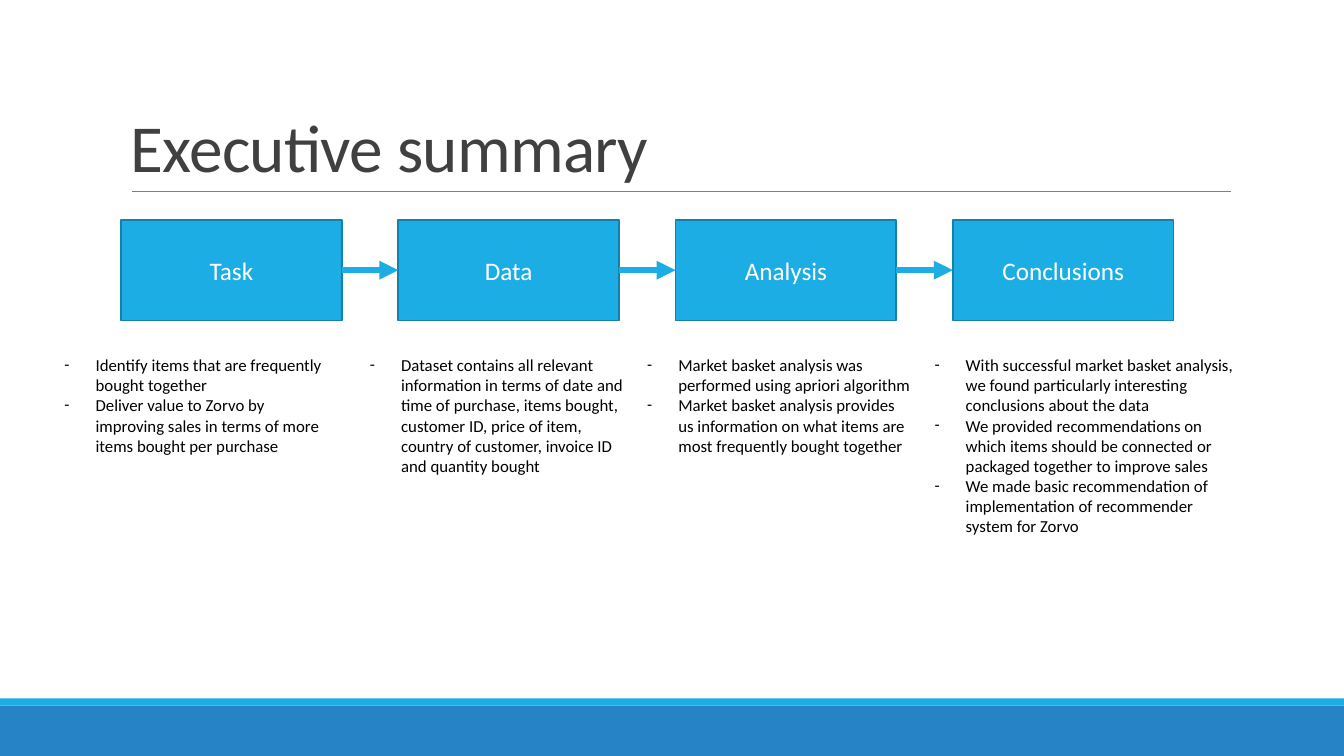
from pptx import Presentation
from pptx.dml.color import RGBColor
from pptx.enum.shapes import MSO_CONNECTOR, MSO_SHAPE
from pptx.enum.text import MSO_ANCHOR, PP_ALIGN
from pptx.oxml.ns import qn
from pptx.util import Inches, Pt
from lxml.etree import SubElement

TITLE = "Executive summary"
STAGES = [
    {"name": "Task", "notes_left": 0.54, "notes_width": 2.85, "notes_height": 1.31, "notes": [
        "Identify items that are frequently bought together",
        "Deliver value to Zorvo by improving sales in terms of more items bought per purchase",
    ]},
    {"name": "Data", "notes_left": 3.57, "notes_width": 2.85, "notes_height": 1.51, "notes": [
        "Dataset contains all relevant information in terms of date and time of purchase, "
        "items bought, customer ID, price of item, country of customer, invoice ID and quantity bought",
    ]},
    {"name": "Analysis", "notes_left": 6.32, "notes_width": 2.83, "notes_height": 1.31, "notes": [
        "Market basket analysis was performed using apriori algorithm",
        "Market basket analysis provides us information on what items are most frequently bought together",
    ]},
    {"name": "Conclusions", "notes_left": 9.17, "notes_width": 3.22, "notes_height": 2.12, "notes": [
        "With successful market basket analysis, we found particularly interesting conclusions about the data",
        "We provided recommendations on which items should be connected or packaged together to improve sales",
        "We made basic recommendation of implementation of recommender system for Zorvo",
    ]},
]
COLORS = {"band": "2683C6", "accent": "1CADE4", "edge": "1580A9", "rule": "808080",
          "title": "404040", "white": "FFFFFF", "black": "000000"}
FONT = "Calibri"
SLIDE_WIDTH, SLIDE_HEIGHT = 13.33, 7.5
STAGE_LEFT, STAGE_TOP, STAGE_WIDTH, STAGE_HEIGHT, STAGE_STEP = 1.2, 2.18, 2.19, 1, 2.75
NOTES_TOP, NOTES_INDENT = 3.47, 0.31


def color(name):
    """Return the named palette colour."""
    return RGBColor.from_string(COLORS[name])


def write(shape, lines, size, ink, align=PP_ALIGN.LEFT, anchor=MSO_ANCHOR.TOP,
          line_spacing=None, tracking=None, bullet=None):
    """Fill a shape with one formatted paragraph per line."""
    frame = shape.text_frame
    frame.word_wrap = True
    frame.vertical_anchor = anchor
    for index, line in enumerate(lines):
        para = frame.add_paragraph() if index else frame.paragraphs[0]
        para.alignment = align
        if line_spacing:
            para.line_spacing = line_spacing
        span = para.add_run()
        span.text = line
        span.font.name = FONT
        span.font.size = Pt(size)
        span.font.color.rgb = color(ink)
        if tracking:
            span.font._element.set("spc", str(int(tracking * 100)))
        if bullet:
            properties = para._p.get_or_add_pPr()
            properties.set("marL", str(Inches(NOTES_INDENT)))
            properties.set("indent", str(-Inches(NOTES_INDENT)))
            SubElement(properties, qn("a:buFont")).set("typeface", FONT)
            SubElement(properties, qn("a:buChar")).set("char", bullet)


def add_box(page, left, top, width, height, fill, edge=None):
    """Add a flat rectangle with an optional outline."""
    box = page.shapes.add_shape(MSO_SHAPE.RECTANGLE, Inches(left), Inches(top),
                                Inches(width), Inches(height))
    box.shadow.inherit = False
    box.fill.solid()
    box.fill.fore_color.rgb = color(fill)
    if edge:
        box.line.color.rgb = color(edge)
        box.line.width = Pt(1.25)
    else:
        box.line.fill.background()
    return box


def add_text(page, left, top, width, height, lines, **style):
    """Add a text box holding the given lines."""
    box = page.shapes.add_textbox(Inches(left), Inches(top), Inches(width), Inches(height))
    write(box, lines, **style)


def add_line(page, start, end, y, ink, width, arrow=False):
    """Add a horizontal line, with an arrowhead at its end if wanted."""
    line = page.shapes.add_connector(MSO_CONNECTOR.STRAIGHT, Inches(start), Inches(y),
                                     Inches(end), Inches(y))
    line.line.color.rgb = color(ink)
    line.line.width = Pt(width)
    if arrow:
        SubElement(line.line._get_or_add_ln(), qn("a:tailEnd")).set("type", "triangle")
    SubElement(line._element.spPr, qn("a:effectLst"))


def main():
    """Build and save the executive summary slide."""
    deck = Presentation()
    deck.slide_width, deck.slide_height = Inches(SLIDE_WIDTH), Inches(SLIDE_HEIGHT)
    page = deck.slides.add_slide(deck.slide_layouts[6])

    add_box(page, 0, 7, SLIDE_WIDTH, 0.5, "band")
    add_box(page, 0, 6.93, SLIDE_WIDTH, 0.07, "accent")
    add_line(page, 1.31, 12.21, 1.9, "rule", 0.5)
    add_text(page, 1.2, 0.31, 11, 1.59, [TITLE], size=48, ink="title",
             anchor=MSO_ANCHOR.BOTTOM, line_spacing=0.85, tracking=-0.5)

    for index, stage in enumerate(STAGES):
        left = STAGE_LEFT + index * STAGE_STEP
        box = add_box(page, left, STAGE_TOP, STAGE_WIDTH, STAGE_HEIGHT, "accent", "edge")
        write(box, [stage["name"]], size=18, ink="white",
              align=PP_ALIGN.CENTER, anchor=MSO_ANCHOR.MIDDLE)
        if index:
            add_line(page, left - STAGE_STEP + STAGE_WIDTH, left,
                     STAGE_TOP + STAGE_HEIGHT / 2, "accent", 4.5, arrow=True)
        add_text(page, stage["notes_left"], NOTES_TOP, stage["notes_width"],
                 stage["notes_height"], stage["notes"], size=12, ink="black", bullet="-")

    deck.save("out.pptx")


if __name__ == "__main__":
    main()
